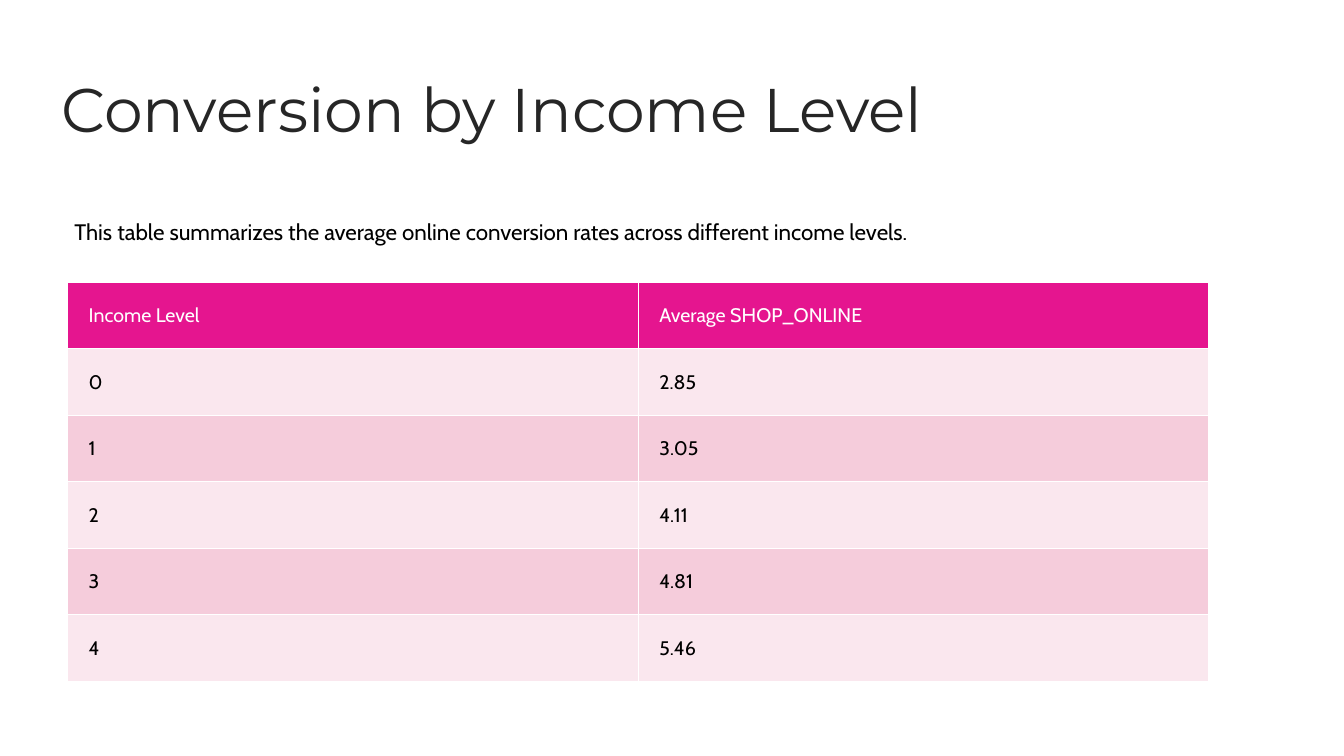
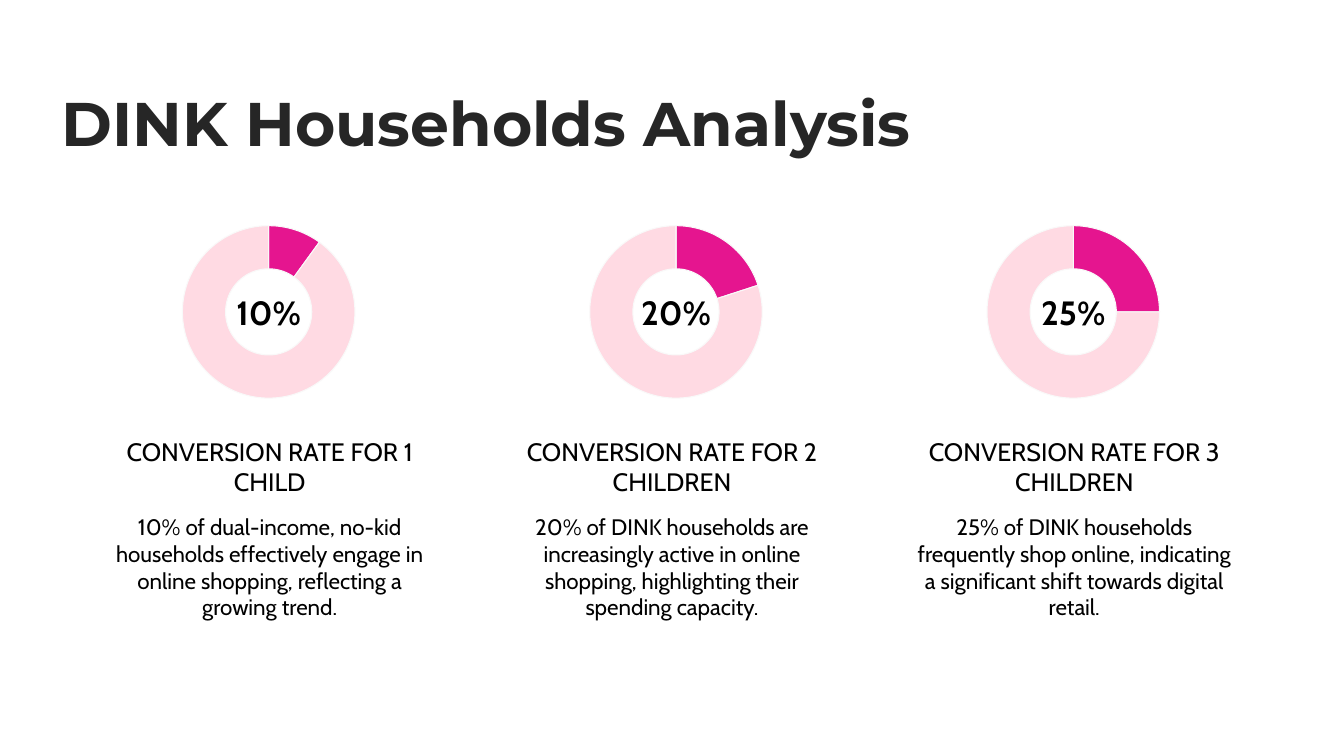
from lxml import etree
from pptx import Presentation
from pptx.chart.data import CategoryChartData
from pptx.dml.color import RGBColor
from pptx.enum.chart import XL_CHART_TYPE as CT
from pptx.enum.text import MSO_ANCHOR as MA, PP_ALIGN as PA
from pptx.oxml import parse_xml
from pptx.oxml.ns import nsdecls, qn
from pptx.util import Inches, Pt

COLORS = {
    "accent": "E5158F", "ring": "FFDAE3", "ring_line": "F9F9F9",
    "row_odd": "FAE7EE", "row_even": "F5CCDB",
    "title": "262626", "text": "000000", "white": "FFFFFF",
}
RGB = {name: RGBColor.from_string(value) for name, value in COLORS.items()}
BODY = {"name": "Cabin", "size": Pt(16), "bold": False}
TITLE = {"name": "Montserrat", "size": Pt(44), "bold": False}


def write(tf, text, style, color="text", align=PA.LEFT, anchor=MA.TOP):
    tf.word_wrap = True
    tf.vertical_anchor = anchor
    p = tf.paragraphs[0]
    p.alignment = align
    r = p.add_run()
    r.text = text
    for key, value in style.items():
        setattr(r.font, key, value)
    r.font.color.rgb = RGB[color]


def add_text(s, box, text, style, **options):
    sp = s.shapes.add_textbox(*map(Inches, box))
    write(sp.text_frame, text, style, **options)


prs = Presentation()
prs.slide_width, prs.slide_height = Inches(13.33), Inches(7.5)
blank = prs.slide_layouts[6]

# Slide 1: conversion table
s = prs.slides.add_slide(blank)
rows = [
    ("Income Level", "Average SHOP_ONLINE"),
    ("0", "2.85"), ("1", "3.05"), ("2", "4.11"), ("3", "4.81"), ("4", "5.46"),
]
table = s.shapes.add_table(len(rows), 2, Inches(0.67), Inches(2.8),
                           Inches(11.33), Inches(3.96)).table
for column in table.columns:
    column.width = Inches(5.66)
for i, values in enumerate(rows):
    table.rows[i].height = Inches(0.66)
    fill = "accent" if i == 0 else "row_odd" if i % 2 else "row_even"
    for j, value in enumerate(values):
        cell = table.cell(i, j)
        for side in ("left", "right", "top", "bottom"):
            setattr(cell, f"margin_{side}", Inches(0.21))
        write(cell.text_frame, value, {**BODY, "size": Pt(14)},
              color="text" if i else "white")
        cell.vertical_anchor = MA.MIDDLE
        # Borders come before the fill in the cell properties
        tc_pr = cell._tc.get_or_add_tcPr()
        for edge in "LRTB":
            tc_pr.append(parse_xml(
                f'<a:ln{edge} {nsdecls("a")} w="{Pt(1)}"><a:solidFill>'
                f'<a:srgbClr val="{COLORS["white"]}"/></a:solidFill></a:ln{edge}>'))
        cell.fill.solid()
        cell.fill.fore_color.rgb = RGB[fill]

add_text(s, (0.51, 0.65, 11.42, 1.17), "Conversion by Income Level", TITLE, color="title")
add_text(s, (0.64, 1.94, 10.76, 0.72),
         "This table summarizes the average online conversion rates "
         "across different income levels.", BODY, anchor=MA.MIDDLE)

# Slide 2: one doughnut, heading and description per column
s = prs.slides.add_slide(blank)
add_text(s, (0.51, 0.79, 11.42, 1.44), "DINK Households Analysis",
         {**TITLE, "bold": True}, color="title")
columns = [
    (1.67, 10, "CONVERSION RATE FOR 1 CHILD",
     "10% of dual-income, no-kid households effectively engage in online "
     "shopping, reflecting a growing trend."),
    (5.71, 20, "CONVERSION RATE FOR 2 CHILDREN",
     "20% of DINK households are increasingly active in online shopping, "
     "highlighting their spending capacity."),
    (9.65, 25, "CONVERSION RATE FOR 3 CHILDREN",
     "25% of DINK households frequently shop online, indicating a "
     "significant shift towards digital retail."),
]
ring_top, ring_size = 2.1, 1.99
for i, (ring_left, rate, heading, description) in enumerate(columns):
    data = CategoryChartData()
    data.categories = ["1", "2"]
    data.add_series("Series 1", (rate, 100 - rate))
    chart = s.shapes.add_chart(CT.DOUGHNUT, Inches(ring_left), Inches(ring_top),
                               Inches(ring_size), Inches(ring_size), data).chart
    chart.has_legend = chart.has_title = False
    chart.font.name, chart.font.size = "Cabin", Pt(10)
    chart.font.color.rgb = RGB["text"]
    plot = chart.plots[0]
    plot.vary_by_categories = True
    plot.has_data_labels = False
    for k, color in enumerate(("accent", "ring")):
        fmt = plot.series[0].points[k].format
        fmt.fill.solid()
        fmt.fill.fore_color.rgb = RGB[color]
        fmt.line.color.rgb = RGB["ring_line"]
        fmt.line.width = Pt(0.75)

    # Hole size and plot position inside the chart
    plot_area = chart._chartSpace.chart.plotArea
    plot_area.find(".//" + qn("c:holeSize")).set("val", "90")
    for old in plot_area.findall(qn("c:layout")):
        plot_area.remove(old)
    layout = parse_xml(f'<c:layout {nsdecls("c")}><c:manualLayout/></c:layout>')
    for tag, value in (("layoutTarget", "inner"), ("xMode", "edge"), ("yMode", "edge"),
                       ("x", 0.07), ("y", 0.07), ("w", 0.86), ("h", 0.86)):
        etree.SubElement(layout[0], qn(f"c:{tag}")).set("val", str(value))
    plot_area.insert(0, layout)

    center = ring_left + ring_size / 2
    middle = ring_top + ring_size / 2
    add_text(s, (center - 0.5, middle - 0.25, 1, 0.5), f"{rate}%",
             {**BODY, "size": Pt(24), "bold": True}, align=PA.CENTER, anchor=MA.MIDDLE)
    text_left = 1 + 3.99 * i
    add_text(s, (text_left, 4.17, 3.35, 0.81), heading,
             {**BODY, "size": Pt(18)}, align=PA.CENTER, anchor=MA.BOTTOM)
    add_text(s, (text_left, 5.04, 3.35, 1.44), description, BODY, align=PA.CENTER)

prs.save("out.pptx")
